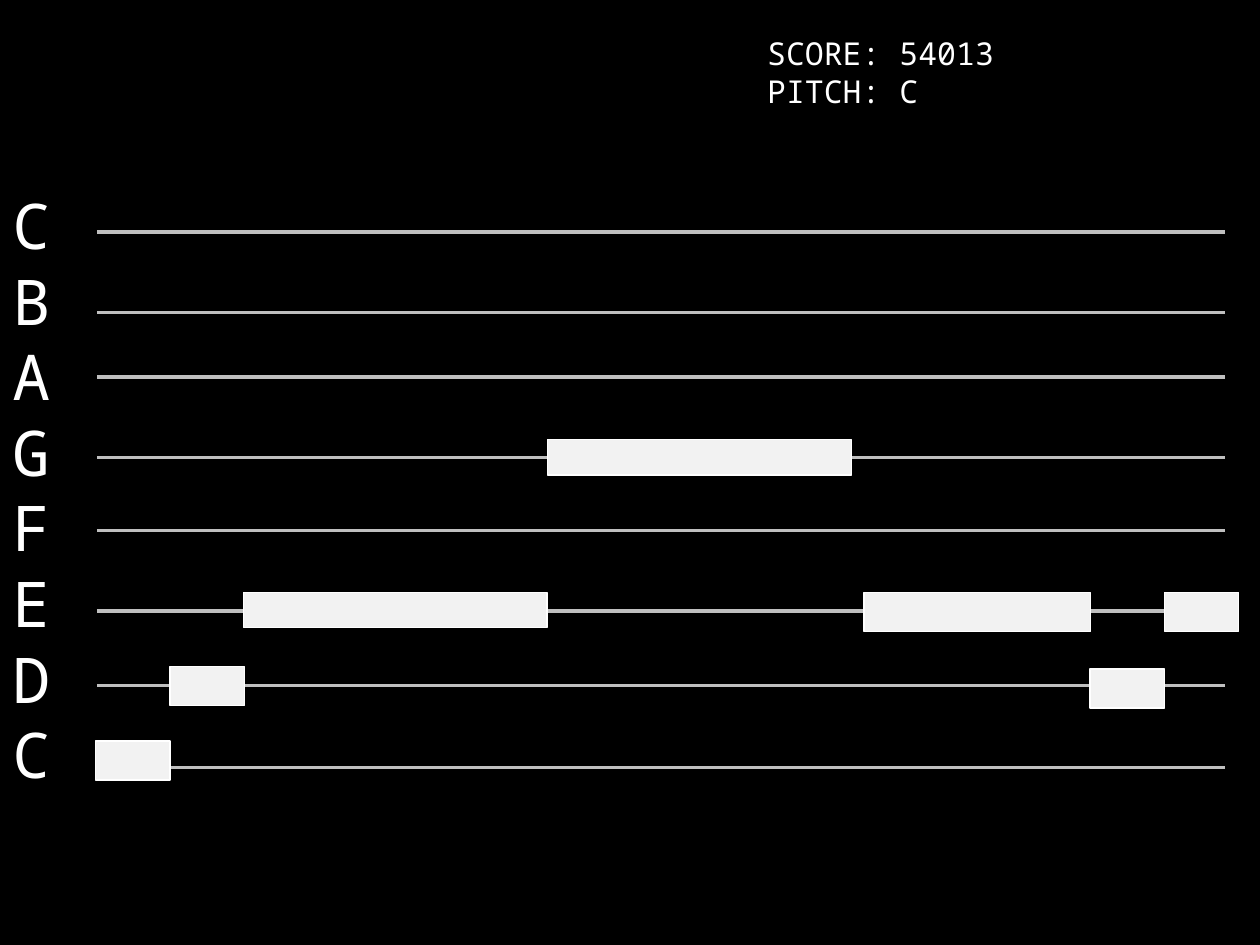
from typing import NamedTuple

from lxml import etree
from pptx import Presentation
from pptx import util as u
from pptx.dml.color import RGBColor
from pptx.enum import shapes, text
from pptx.oxml.ns import qn

FONT = "Noto Sans Mono"
COLORS = {
    "background": "000000",
    "text": "FFFFFF",
    "staff": "BFBFBF",
    "note": "F2F2F2",
    "note_edge": "FFFFFF",
}
PITCHES = ["C", "B", "A", "G", "F", "E", "D", "C"]
STAFF_LEFT, STAFF_RIGHT = 55.4, 699.8
STAFF_TOPS = [132.5, 178.6, 215.3, 261.4, 303.1, 349.2, 391.7, 438.5]


class Area(NamedTuple):
    left: float
    top: float
    width: float
    height: float

    def lengths(self) -> list[u.Length]:
        return [u.Pt(value) for value in self]


SHORT, LONG = 42.5, 173.5
TALL, FLAT = 22.3, 20.2
NOTES = [
    Area(54.7, 423.4, SHORT, TALL),
    Area(97.2, 380.9, SHORT, TALL),
    Area(139, 338.4, LONG, FLAT),
    Area(313, 251.3, LONG, FLAT),
    Area(493.7, 338.7, 129.6, TALL),
    Area(622.8, 382.3, SHORT, TALL),
    Area(665.3, 338.4, SHORT, TALL),
]


def color(name: str) -> RGBColor:
    return RGBColor.from_string(COLORS[name])


def add_text(page, area: Area, lines: list[str], size: float) -> None:
    box = page.shapes.add_textbox(*area.lengths())
    frame = box.text_frame
    frame.word_wrap = True
    frame.auto_size = text.MSO_AUTO_SIZE.SHAPE_TO_FIT_TEXT
    frame.text = "\n".join(lines)
    for para in frame.paragraphs:
        for span in para.runs:
            span.font.name = FONT
            span.font.size = u.Pt(size)
            span.font.color.rgb = color("text")


def add_staff_line(page, top: float) -> None:
    line = page.shapes.add_connector(
        shapes.MSO_CONNECTOR.STRAIGHT,
        u.Pt(STAFF_LEFT), u.Pt(top), u.Pt(STAFF_RIGHT), u.Pt(top),
    )
    line.line.color.rgb = color("staff")
    line.line.width = u.Pt(2)
    etree.SubElement(line._element.spPr, qn("a:effectLst"))


def add_note(page, area: Area) -> None:
    note = page.shapes.add_shape(shapes.MSO_SHAPE.RECTANGLE, *area.lengths())
    note.shadow.inherit = False
    note.fill.solid()
    note.fill.fore_color.rgb = color("note")
    note.line.color.rgb = color("note_edge")
    note.line.width = u.Pt(0.75)


def main() -> None:
    deck = Presentation()
    deck.slide_width, deck.slide_height = u.Pt(720), u.Pt(540)
    page = deck.slides.add_slide(deck.slide_layouts[6])
    page.background.fill.solid()
    page.background.fill.fore_color.rgb = color("background")

    add_text(page, Area(0, 103, 46.8, 356.4), PITCHES, 36)
    for top in STAFF_TOPS:
        add_staff_line(page, top)
    add_text(page, Area(431.3, 15.8, 146.2, 51.1), ["SCORE: 54013", "PITCH: C"], 18)
    for area in NOTES:
        add_note(page, area)

    deck.save("out.pptx")


if __name__ == "__main__":
    main()
